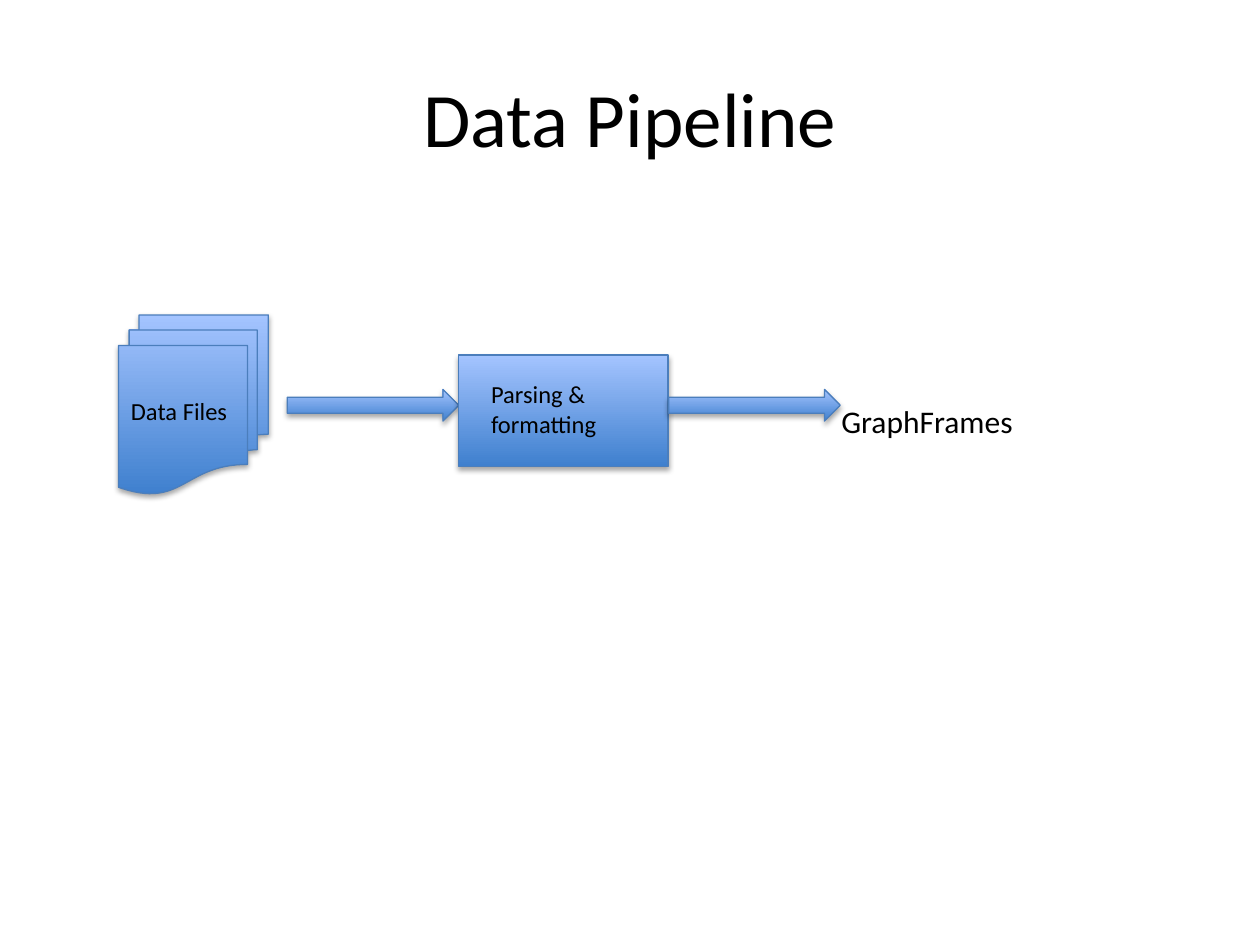
from pptx import Presentation
from pptx.dml.color import RGBColor
from pptx.enum.shapes import MSO_SHAPE
from pptx.enum.text import MSO_ANCHOR, PP_ALIGN
from pptx.util import Cm, Pt

DOCUMENTS = MSO_SHAPE.FLOWCHART_MULTIDOCUMENT
ARROW = MSO_SHAPE.RIGHT_ARROW
BOX = MSO_SHAPE.RECTANGLE
MIDDLE = MSO_ANCHOR.MIDDLE
CENTER = PP_ALIGN.CENTER


def rgb(value):
    return RGBColor.from_string(value)


def set_text(tf, text, size):
    tf.word_wrap = True
    p = tf.paragraphs[0]
    p.text = text
    p.font.name = "Calibri"
    p.font.size = Pt(size)
    p.font.color.rgb = rgb("000000")
    return p


prs = Presentation()
prs.slide_width, prs.slide_height = Cm(25.4), Cm(19.05)
s = prs.slides.add_slide(prs.slide_layouts[5])

# Title
title = s.shapes.title
title.left, title.top, title.width, title.height = Cm(1.27), Cm(0.76), Cm(22.86), Cm(3.18)
title.text_frame.vertical_anchor = MIDDLE
set_text(title.text_frame, "Data Pipeline", 44).alignment = CENTER

# Pipeline: files, arrow, parsing step, arrow (the theme's soft shadow is kept)
steps = [
    (DOCUMENTS, 2.39, 6.35, 3.02, 3.61),
    (ARROW, 5.79, 7.85, 3.46, 0.64),
    (BOX, 9.25, 7.16, 4.22, 2.24),
    (ARROW, 13.48, 7.85, 3.46, 0.64),
]
for kind, left, top, width, height in steps:
    sp = s.shapes.add_shape(kind, Cm(left), Cm(top), Cm(width), Cm(height))
    sp.fill.gradient()
    sp.fill.gradient_angle = 90
    for stop, color in zip(sp.fill.gradient_stops, ("3F80CE", "A4C4FF")):
        stop.color.rgb = rgb(color)
    sp.line.color.rgb = rgb("4B7EBC")
    sp.line.width = Pt(0.75)

# Labels
labels = [
    ("GraphFrames", 18, 16.71, 7.98, 4.75, 1.02),
    ("Data Files", 14, 2.39, 7.85, 3.76, 0.86),
    ("Parsing & formatting", 14, 9.65, 7.52, 3.61, 1.45),
]
for text, size, left, top, width, height in labels:
    tb = s.shapes.add_textbox(Cm(left), Cm(top), Cm(width), Cm(height))
    set_text(tb.text_frame, text, size)

prs.save("out.pptx")
